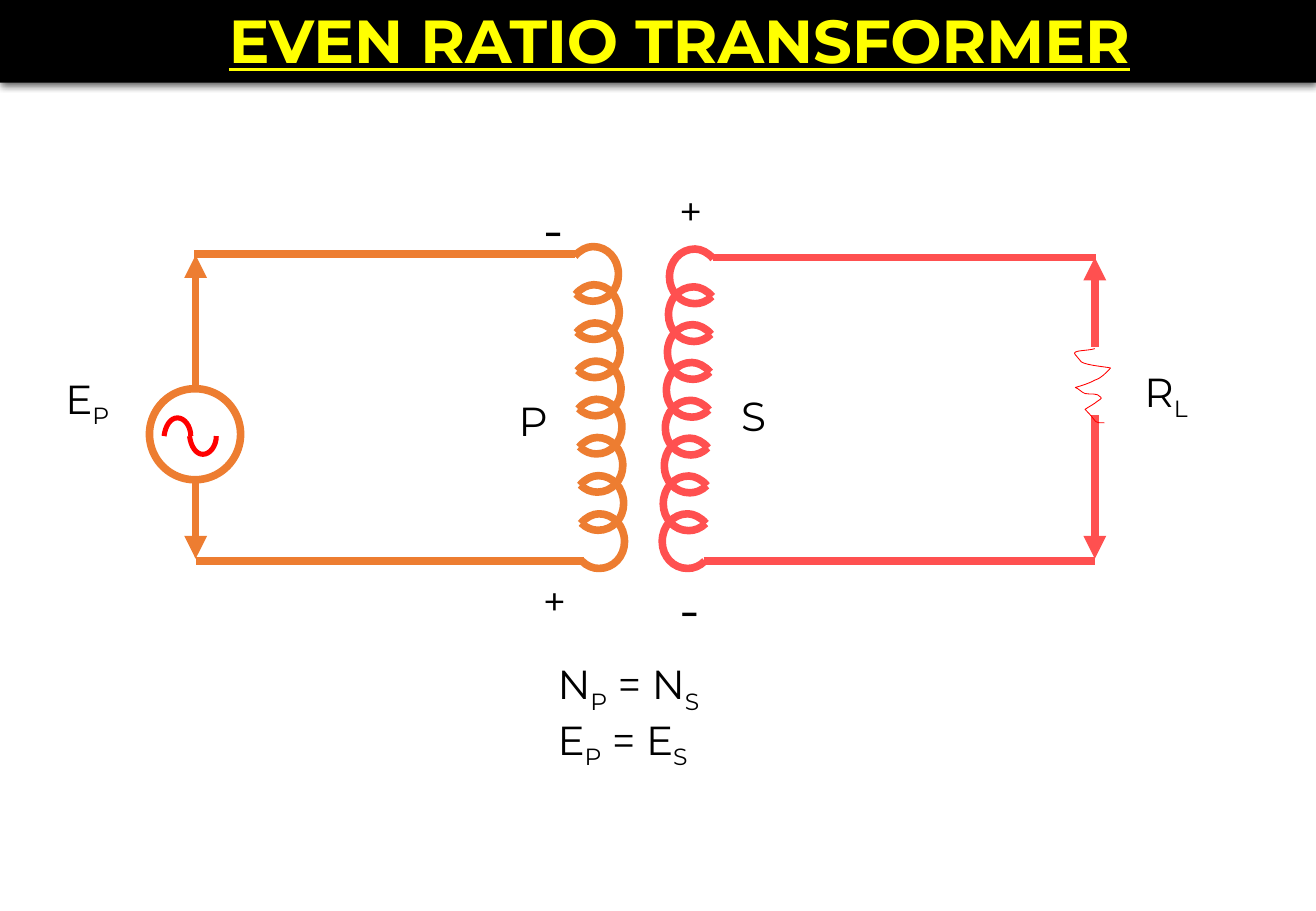
import pptx
import pptx.dml.color
import pptx.enum.shapes
import pptx.enum.text
import pptx.oxml
import pptx.oxml.ns
import pptx.util
from pptx.util import Inches

COLORS = {
    "primary": "ED7D31",
    "secondary": "FF5050",
    "signal": "FF0000",
    "title": "FFFF00",
    "text": "000000",
    "banner": "000000",
    "paper": "FFFFFF",
}
LOOPS = 8
LOOP = [(0.14, 0.16), (0.1, 0.2), (0.05, 0.22), (0, 0.22),
        (-0.12, 0.22), (-0.21, 0.12), (-0.21, 0),
        (-0.21, -0.13), (-0.12, -0.23), (0, -0.23),
        (0.05, -0.23), (0.11, -0.2), (0.15, -0.15)]
RESISTOR = [(9.01, 2.87), (8.96, 2.89), (8.81, 2.88), (8.85, 2.92),
            (8.87, 2.94), (8.88, 2.96), (8.9, 2.98),
            (8.95, 3.01), (9.11, 3.02), (9.14, 3.03),
            (9.1, 3.07), (9.07, 3.11), (9.01, 3.13),
            (8.96, 3.16), (8.85, 3.19), (8.85, 3.19),
            (8.88, 3.2), (8.9, 3.23), (8.93, 3.24),
            (8.97, 3.25), (9.03, 3.23), (9.06, 3.27),
            (9.08, 3.28), (9.03, 3.3), (9.01, 3.32),
            (8.98, 3.34), (8.96, 3.35), (8.93, 3.37),
            (9.05, 3.49), (8.99, 3.48), (9.09, 3.48)]
HALF_WAVE = [(-0.11, 0), (-0.1, -0.08), (-0.06, -0.15), (0, -0.15),
             (0.06, -0.15), (0.11, -0.08), (0.11, 0)]


def rgb(name):
    return pptx.dml.color.RGBColor.from_string(COLORS[name])


def write(p, text, *, size=24, color="text", font="Montserrat", sub=False, **style):
    r = p.add_run()
    r.text = text
    r.font.size = pptx.util.Pt(size)
    r.font.name = font
    r.font.color.rgb = rgb(color)
    for key, value in style.items():
        setattr(r.font, key, value)
    if sub:
        r._r.get_or_add_rPr().set("baseline", "-25000")


class Diagram:
    def __init__(self, slide):
        self.s = slide
        self.weight = 4.5

    def outline(self, sp, color, weight):
        sp.line.color.rgb = rgb(color)
        sp.line.width = pptx.util.Pt(weight)

    def shape(self, kind, x, y, w, h, fill, line=None, weight=1):
        sp = self.s.shapes.add_shape(kind, Inches(x), Inches(y), Inches(w), Inches(h))
        sp.shadow.inherit = False
        sp.fill.solid()
        sp.fill.fore_color.rgb = rgb(fill)
        if line:
            self.outline(sp, line, weight)
        else:
            sp.line.fill.background()
        return sp

    def curve(self, points, color, weight):
        pts = [(Inches(x), Inches(y)) for x, y in points]
        builder = self.s.shapes.build_freeform(*pts[0])
        builder.add_line_segments(pts[1:], close=False)
        sp = builder.convert_to_shape()
        segments = list(sp._element.iter(pptx.oxml.ns.qn("a:lnTo")))
        for i in range(0, len(segments), 3):
            bend = segments[i].makeelement(pptx.oxml.ns.qn("a:cubicBezTo"), {})
            segments[i].addprevious(bend)
            for segment in segments[i:i + 3]:
                bend.append(segment[0])
                segment.getparent().remove(segment)
        sp.shadow.inherit = False
        sp.fill.background()
        self.outline(sp, color, weight)

    def coil(self, first, last, side, color):
        for i in range(LOOPS):
            cx, cy = (a + (b - a) * i / (LOOPS - 1) for a, b in zip(first, last))
            self.curve([(cx + side * x, cy + y) for x, y in LOOP], color, self.weight)

    def wire(self, x1, y1, x2, y2, color, arrows=False):
        sp = self.s.shapes.add_connector(pptx.enum.shapes.MSO_CONNECTOR.STRAIGHT,
                                         Inches(x1), Inches(y1), Inches(x2), Inches(y2))
        self.outline(sp, color, self.weight)
        if arrows:
            ln = sp.line._get_or_add_ln()
            for tag in ("a:headEnd", "a:tailEnd"):
                end = pptx.oxml.ns.qn(tag)
                ln.append(ln.makeelement(end, {"type": "triangle"}))
        spPr = sp._element.spPr
        spPr.append(spPr.makeelement(pptx.oxml.ns.qn("a:effectLst"), {}))

    def label(self, x, y, w, h, *lines, size=24):
        tf = self.s.shapes.add_textbox(Inches(x), Inches(y), Inches(w), Inches(h)).text_frame
        tf.word_wrap = False
        tf.auto_size = pptx.enum.text.MSO_AUTO_SIZE.SHAPE_TO_FIT_TEXT
        for i, parts in enumerate(lines):
            p = tf.add_paragraph() if i else tf.paragraphs[0]
            for n, part in enumerate(parts):
                write(p, part, size=size, sub=n % 2 == 1)

    def banner(self, text):
        sp = self.shape(pptx.enum.shapes.MSO_SHAPE.RECTANGLE, 0, -0.03, 10.83, 0.71, "banner")
        effects = sp._element.spPr.find(pptx.oxml.ns.qn("a:effectLst"))
        effects.append(pptx.oxml.parse_xml(
            f'<a:outerShdw {pptx.oxml.ns.nsdecls("a")} blurRad="57150" dist="19050" '
            'dir="5400000" algn="ctr" rotWithShape="0">'
            '<a:srgbClr val="000000"><a:alpha val="63000"/></a:srgbClr></a:outerShdw>'))
        tf = sp.text_frame
        tf.word_wrap = True
        tf.margin_left = Inches(0.45)
        p = tf.paragraphs[0]
        p.alignment = pptx.enum.text.PP_ALIGN.CENTER
        write(p, text, size=36, color="title", bold=True, underline=True)


def main():
    prs = pptx.Presentation()
    prs.slide_width = Inches(10.83)
    prs.slide_height = Inches(7.5)
    d = Diagram(prs.slides.add_slide(prs.slide_layouts[6]))
    shapes = pptx.enum.shapes.MSO_SHAPE

    d.label(4.49, 5.38, 1.52, 0.9, ["N", "P", " = N", "S"], ["E", "P", " = E", "S"])

    d.coil((5.72, 2.28), (5.66, 4.46), 1, "secondary")
    d.wire(5.79, 4.62, 9.01, 4.62, "secondary")
    d.wire(5.87, 2.12, 9.02, 2.12, "secondary")
    d.wire(9.01, 2.12, 9.01, 4.6, "secondary", arrows=True)
    d.label(6, 3.17, 0.44, 0.5, ["S"])

    d.coil((4.88, 2.26), (4.93, 4.46), -1, "primary")
    d.wire(4.81, 4.62, 1.61, 4.62, "primary")
    d.wire(4.73, 2.09, 1.6, 2.09, "primary")
    d.wire(1.61, 2.1, 1.61, 4.6, "primary", arrows=True)
    d.label(4.17, 3.21, 0.44, 0.5, ["P"])

    d.shape(shapes.OVAL, 1.23, 3.2, 0.75, 0.75, "paper", "primary", d.weight)
    d.label(0.44, 3.03, 0.6, 0.5, ["E", "P"])
    d.label(9.32, 2.97, 0.61, 0.5, ["R", "L"])
    d.shape(shapes.RECTANGLE, 8.97, 2.86, 0.16, 0.55, "paper", "paper")
    d.curve(RESISTOR, "signal", 0.5)

    d.label(4.37, 4.69, 0.42, 0.5, ["+"])
    d.label(4.37, 1.56, 0.35, 0.63, ["-"], size=32)
    d.label(5.49, 1.48, 0.42, 0.5, ["+"])
    d.label(5.49, 4.69, 0.35, 0.63, ["-"], size=32)

    for cx, side in ((1.46, 1), (1.67, -1)):
        d.curve([(cx + x, 3.59 + side * y) for x, y in HALF_WAVE], "signal", 3)

    d.banner("EVEN RATIO TRANSFORMER")
    prs.save("out.pptx")


if __name__ == "__main__":
    main()
